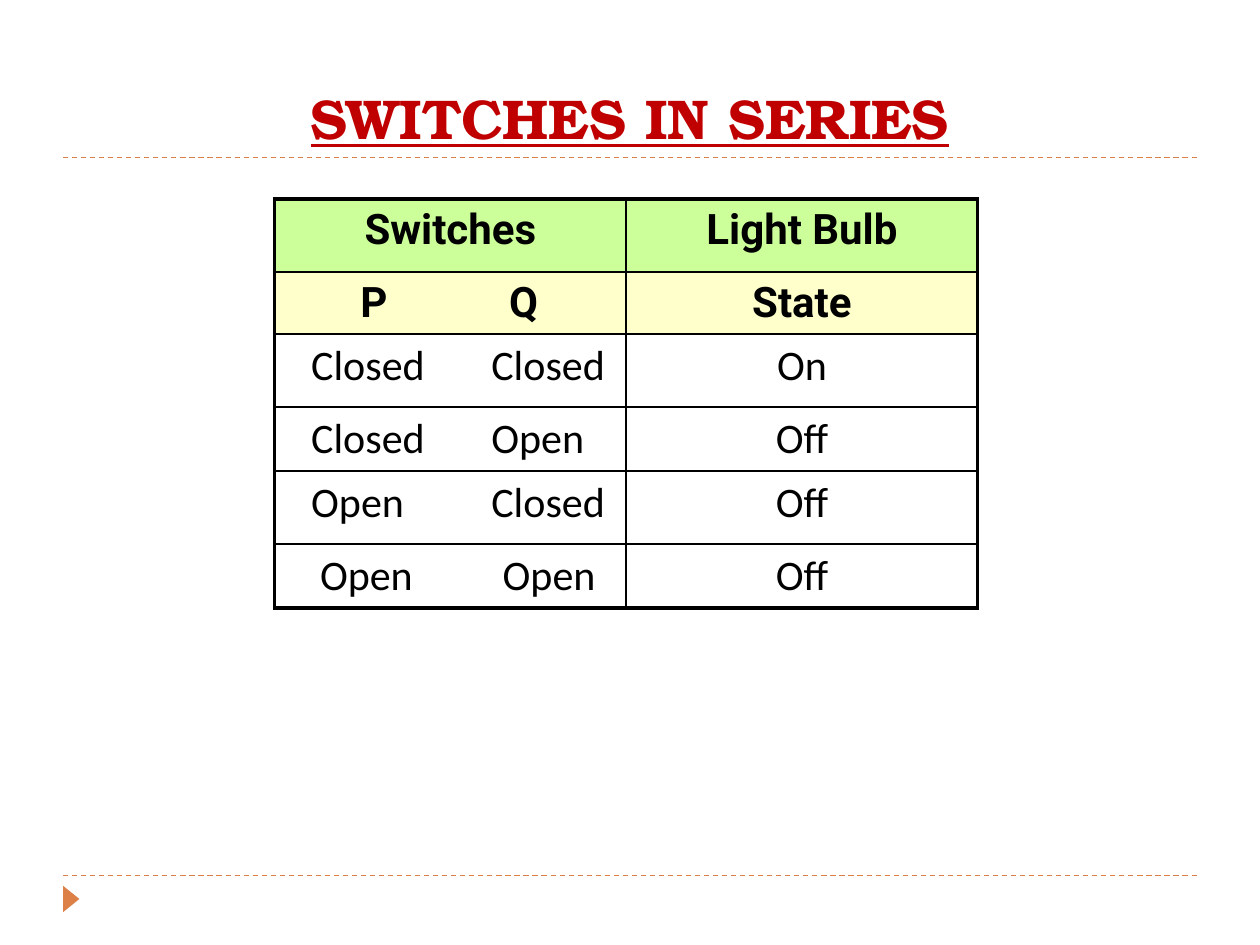
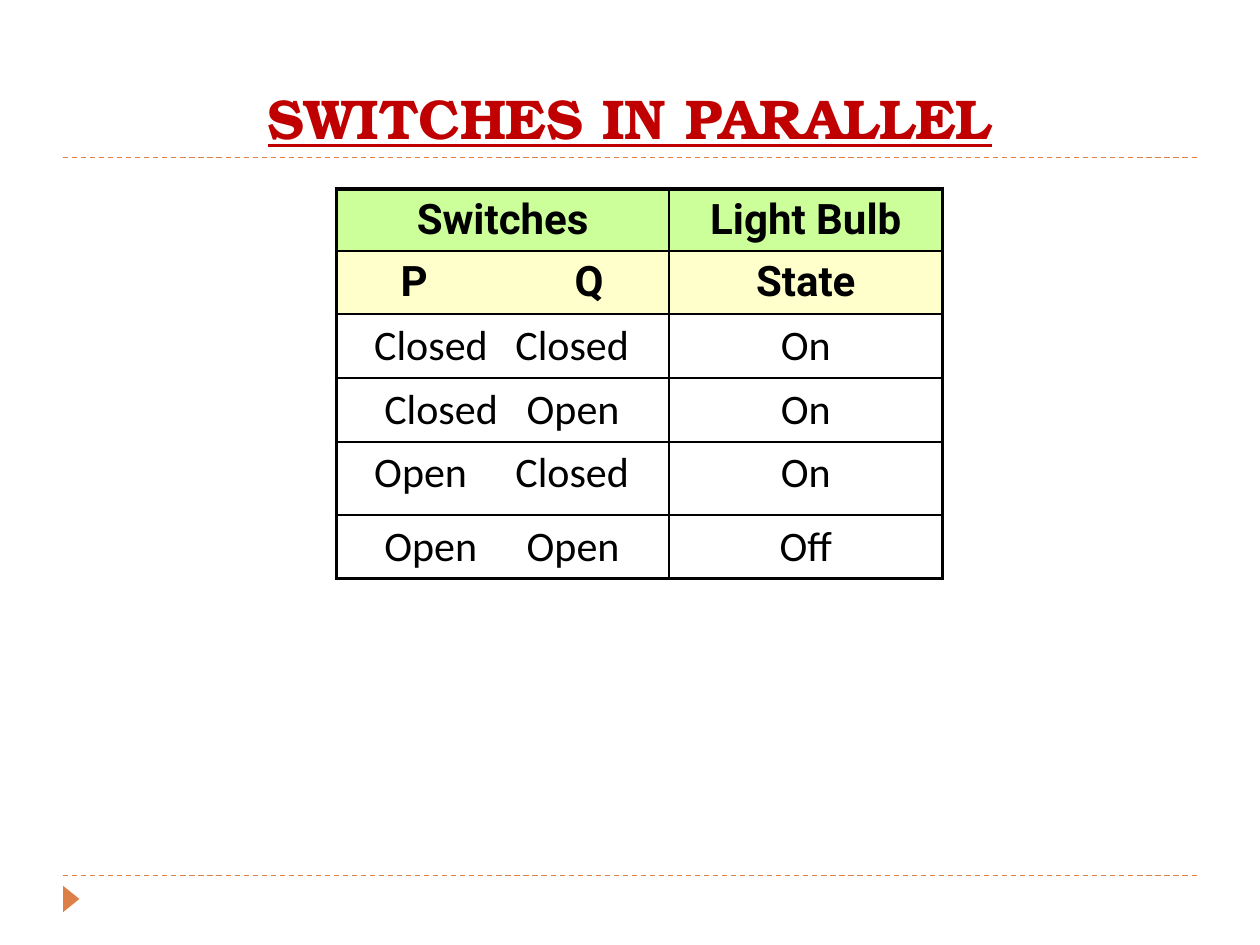
from lxml.etree import SubElement
from pptx import Presentation
from pptx.dml.color import RGBColor
from pptx.enum.dml import MSO_LINE
from pptx.enum.shapes import MSO_CONNECTOR, MSO_SHAPE
from pptx.enum.text import MSO_ANCHOR, MSO_AUTO_SIZE, PP_ALIGN
from pptx.oxml import parse_xml
from pptx.oxml.ns import nsdecls, qn
from pptx.util import Inches, Pt

# Shared style
RED = RGBColor(0xC0, 0x00, 0x00)
ORANGE = RGBColor(0xDD, 0x80, 0x47)
GREEN = RGBColor(0xCC, 0xFF, 0x99)
CREAM = RGBColor(0xFF, 0xFF, 0xCC)
BLACK = RGBColor(0x00, 0x00, 0x00)
TITLE_FONT, HEAD_FONT, BODY_FONT = "TeX Gyre Bonum", "Roboto", "Calibri"
THIN, THICK = 1, 2.25
COLS, ROWS = 10, 7.5  # slide grid
TITLE_ONLY = 5


def write(tf, text, font=BODY_FONT, size=24, color=BLACK, bold=False,
          underline=False, align=PP_ALIGN.CENTER, after=0, tab=None):
    """Fill a text frame with one formatted paragraph."""
    p = tf.paragraphs[0]
    if tab is not None:
        tabs = SubElement(p._p.get_or_add_pPr(), qn("a:tabLst"))
        SubElement(tabs, qn("a:tab"), pos=str(tab), algn="l")
    p.alignment = align
    p.space_after = Pt(after)
    r = p.add_run()
    r.text = text
    f = r.font
    f.name, f.size, f.bold, f.underline = font, Pt(size), bold, underline
    f.color.rgb = color


def set_borders(cell, **widths):
    """Draw the cell's sides, given as L, R, T, B widths in points."""
    tcPr = cell._tc.get_or_add_tcPr()
    for i, (side, width) in enumerate(widths.items()):
        tcPr.insert(i, parse_xml(
            f'<a:ln{side} {nsdecls("a")} w="{Pt(width)}"><a:solidFill>'
            f'<a:srgbClr val="{BLACK}"/></a:solidFill></a:ln{side}>'))


class Deck:
    def __init__(self, prs):
        self.prs = prs
        self.s = None

    def x(self, cols):
        return int(self.prs.slide_width * cols / COLS)

    def y(self, rows):
        return int(self.prs.slide_height * rows / ROWS)

    def add_slide(self, title):
        self.s = self.prs.slides.add_slide(self.prs.slide_layouts[TITLE_ONLY])
        for row in (1.25, 6.95):
            self.rule(row)
        self.marker()
        self.title(title)

    def title(self, text):
        sp = self.s.shapes.title
        sp.left, sp.top = self.x(0.5), self.y(0.17)
        sp.width, sp.height = self.x(9), self.y(1.08)
        tf = sp.text_frame
        tf.word_wrap = True
        tf.auto_size = MSO_AUTO_SIZE.NONE
        tf.vertical_anchor = MSO_ANCHOR.BOTTOM
        write(tf, text, font=TITLE_FONT, size=32, color=RED,
              bold=True, underline=True)

    def rule(self, row):
        line = self.s.shapes.add_connector(
            MSO_CONNECTOR.STRAIGHT,
            self.x(0.5), self.y(row), self.x(9.5), self.y(row))
        line.line.color.rgb = ORANGE
        line.line.width = Pt(0.75)
        line.line.dash_style = MSO_LINE.DASH
        SubElement(line._element.spPr, qn("a:effectLst"))

    def marker(self):
        sp = self.s.shapes.add_shape(
            MSO_SHAPE.ISOSCELES_TRIANGLE,
            self.x(0.46), self.y(7.07), self.x(0.21), self.y(0.13))
        sp.rotation = 90
        sp.shadow.inherit = False
        sp.fill.solid()
        sp.fill.fore_color.rgb = ORANGE
        sp.line.fill.background()

    def truth_table(self, left, top, widths, heights, rows):
        """Rows hold the switch words, their offsets in the cell, the bulb."""
        table = self.s.shapes.add_table(
            len(heights), 2, self.x(left), self.y(top),
            self.x(sum(widths)), self.y(sum(heights))).table
        table.first_row = table.horz_banding = False
        for column, width in zip(table.columns, widths):
            column.width = self.x(width)
        for row, height in zip(table.rows, heights):
            row.height = self.y(height)

        header = ("Switches", None, "Light Bulb")
        last = len(rows)
        for i, (switches, offsets, bulb) in enumerate([header, *rows]):
            for j, text in enumerate((switches, bulb)):
                cell = table.cell(i, j)
                fmt = dict(after=10)
                if i < 2:
                    fmt.update(font=HEAD_FONT, bold=True)
                    cell.fill.solid()
                    cell.fill.fore_color.rgb = CREAM if i else GREEN
                else:
                    cell.fill.background()
                if j == 0 and offsets:
                    first, second = offsets
                    cell.margin_left = self.x(first)
                    cell.margin_right = 0
                    fmt.update(align=PP_ALIGN.LEFT,
                               tab=self.x(second - first))
                write(cell.text_frame, text, **fmt)
                set_borders(cell, L=THIN if j else THICK,
                            R=THICK if j else THIN,
                            T=THIN if i else THICK,
                            B=THICK if i == last else THIN)


def main():
    prs = Presentation()
    prs.slide_width, prs.slide_height = Inches(10), Inches(7.5)
    deck = Deck(prs)

    # Series: the bulb needs both switches closed
    deck.add_slide("SWITCHES IN SERIES")
    deck.truth_table(2.18, 1.58, (2.79, 2.79),
                     (0.58, 0.49, 0.58, 0.5, 0.58, 0.5), [
        ("P\tQ", (0.68, 1.86), "State"),
        ("Closed\tClosed", (0.29, 1.72), "On"),
        ("Closed\tOpen", (0.29, 1.72), "Off"),
        ("Open\tClosed", (0.29, 1.72), "Off"),
        ("Open\tOpen", (0.36, 1.81), "Off"),
    ])

    # Parallel: one closed switch is enough
    deck.add_slide("SWITCHES IN PARALLEL")
    deck.truth_table(2.67, 1.5, (2.64, 2.17),
                     (0.49, 0.5, 0.5, 0.5, 0.58, 0.5), [
        ("P\tQ", (0.51, 1.89), "State"),
        ("Closed\tClosed", (0.3, 1.42), "On"),
        ("Closed\tOpen", (0.38, 1.51), "On"),
        ("Open\tClosed", (0.3, 1.42), "On"),
        ("Open\tOpen", (0.38, 1.51), "Off"),
    ])

    prs.save("out.pptx")


if __name__ == "__main__":
    main()
